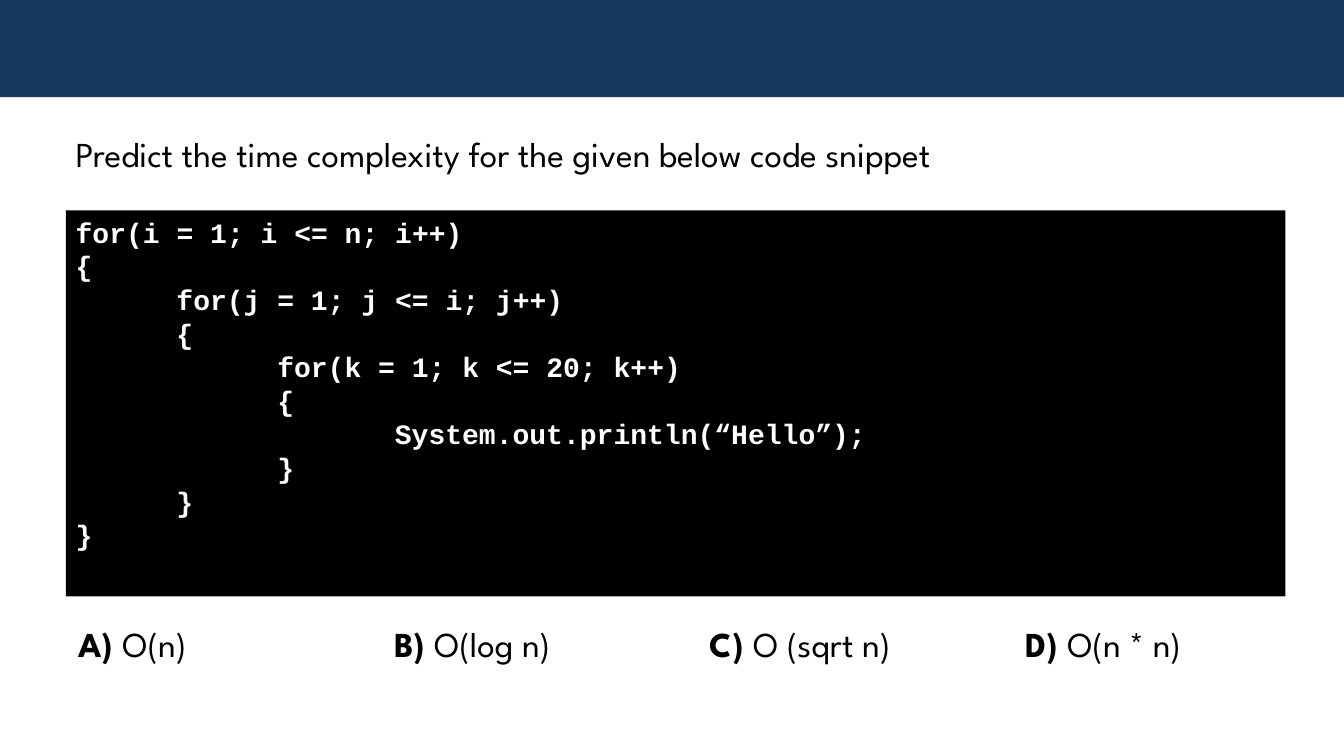
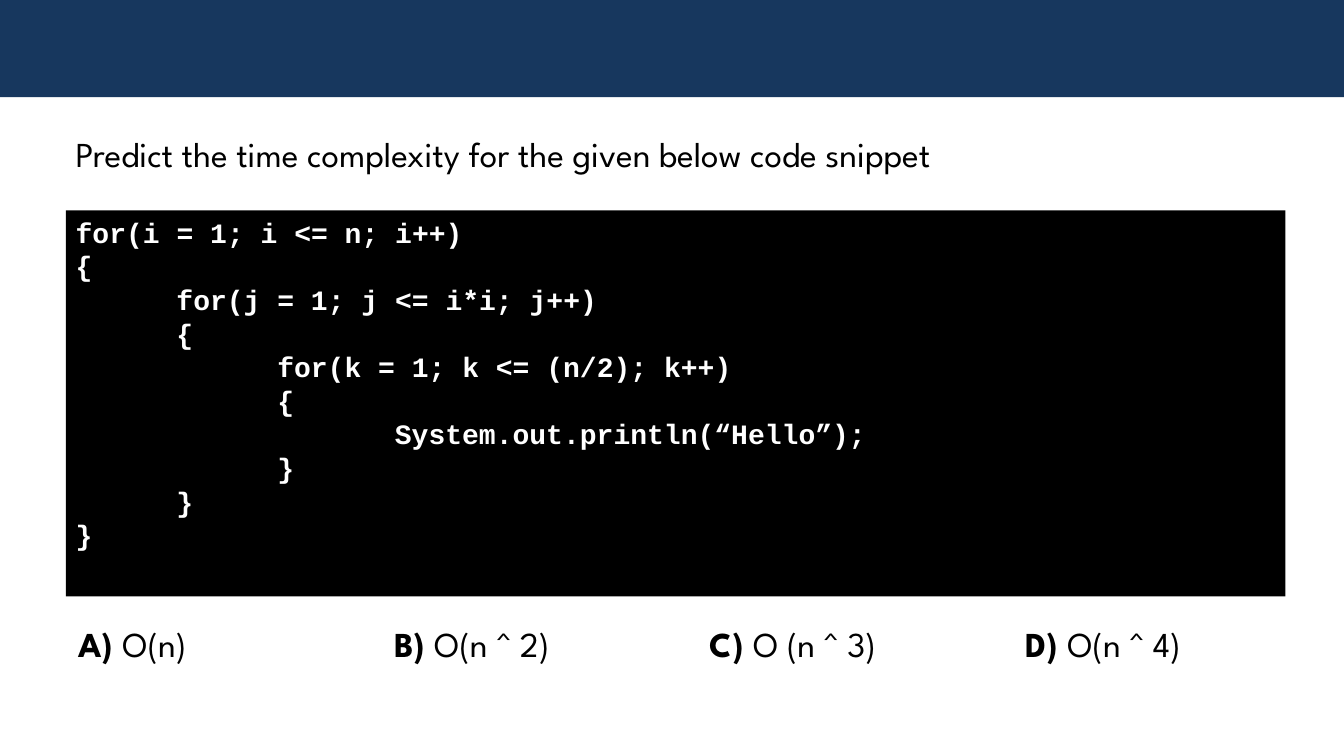
from lxml import etree
from pptx import Presentation
from pptx.dml.color import RGBColor
from pptx.enum.shapes import MSO_SHAPE
from pptx.enum.text import MSO_ANCHOR, MSO_AUTO_SIZE, PP_ALIGN
from pptx.oxml.ns import qn
from pptx.util import Pt

RECT = MSO_SHAPE.RECTANGLE
TOP = MSO_ANCHOR.TOP
LEFT = PP_ALIGN.LEFT
GROW = MSO_AUTO_SIZE.SHAPE_TO_FIT_TEXT

# Shared style
WIDTH, HEIGHT = 960, 540
NAVY, BLACK, WHITE = "17375E", "000000", "FFFFFF"
BODY_FONT, CODE_FONT = "League Spartan", "Courier New"
BODY_SIZE, CODE_SIZE = 25, 20
MARGIN = 47
TAB_WIDTH, MAX_DEPTH = 72, 3
OPTION_LEFT, OPTION_STEP = 48.8, 225.6

QUESTION = "Predict the time complexity for the given below code snippet"

# Limits of the inner loops, and the answers offered
QUIZZES = [
    ("i", "20", ["O(n)", "O(log n)", "O (sqrt n)", "O(n * n)"]),
    ("i*i", "(n/2)", ["O(n)", "O(n ^ 2)", "O (n ^ 3)", "O(n ^ 4)"]),
]


def rgb(color):
    return RGBColor.from_string(color)


def add_run(p, text, font, size, color, bold=False):
    r = p.add_run()
    r.text = text
    r.font.name = font
    r.font.size = Pt(size)
    r.font.bold = bold
    r.font.color.rgb = rgb(color)


def add_rect(s, x, y, w, h, color):
    sp = s.shapes.add_shape(RECT, Pt(x), Pt(y), Pt(w), Pt(h))
    sp.shadow.inherit = False
    sp.fill.solid()
    sp.fill.fore_color.rgb = rgb(color)
    sp.line.fill.background()
    return sp


def add_text(s, x, y, w, h, runs, spacing=None):
    """Add one paragraph made of (text, bold) runs."""
    tf = s.shapes.add_textbox(Pt(x), Pt(y), Pt(w), Pt(h)).text_frame
    tf.word_wrap = True
    tf.auto_size = GROW
    p = tf.paragraphs[0]
    p.line_spacing = spacing
    for text, bold in runs:
        add_run(p, text, BODY_FONT, BODY_SIZE, BLACK, bold)


def set_tabs(p):
    """Give the paragraph one tab stop for each nesting level."""
    tabs = etree.SubElement(p._p.get_or_add_pPr(), qn("a:tabLst"))
    for depth in range(1, MAX_DEPTH + 1):
        etree.SubElement(tabs, qn("a:tab"),
                         pos=str(Pt(depth * TAB_WIDTH)), algn="l")


def add_code(s, lines):
    tf = add_rect(s, MARGIN, 150.2, 871.2, 275.8, BLACK).text_frame
    tf.vertical_anchor = TOP
    tf.margin_bottom = Pt(72)
    for i, line in enumerate(lines):
        p = tf.paragraphs[0] if i == 0 else tf.add_paragraph()
        p.alignment = LEFT
        set_tabs(p)
        add_run(p, line, CODE_FONT, CODE_SIZE, WHITE, True)


def nested_loops(j_limit, k_limit):
    """Return the code lines of three nested loops."""
    loops = [("i", "n"), ("j", j_limit), ("k", k_limit)]
    lines = []
    for depth, (var, limit) in enumerate(loops):
        tabs = "\t" * depth
        lines += [f"{tabs}for({var} = 1; {var} <= {limit}; {var}++)", tabs + "{"]
    lines.append("\t\t\t System.out.println(“Hello”);")
    return lines + ["\t" * depth + "}" for depth in (2, 1, 0)]


def add_quiz(prs, j_limit, k_limit, answers):
    s = prs.slides.add_slide(prs.slide_layouts[6])
    # Header band and question
    add_rect(s, 0, 0, WIDTH, 69.5, NAVY)
    add_text(s, MARGIN, 91, 862.5, 37.5, [(QUESTION, False)])
    # Code panel
    add_code(s, nested_loops(j_limit, k_limit))
    # Answer options
    for i, (letter, answer) in enumerate(zip("ABCD", answers)):
        add_text(s, OPTION_LEFT + i * OPTION_STEP, 426, 183.6, 49,
                 [(f"{letter}) ", True), (answer, False)], 1.5)


def main():
    prs = Presentation()
    prs.slide_width, prs.slide_height = Pt(WIDTH), Pt(HEIGHT)
    for quiz in QUIZZES:
        add_quiz(prs, *quiz)
    prs.save("out.pptx")


if __name__ == "__main__":
    main()
